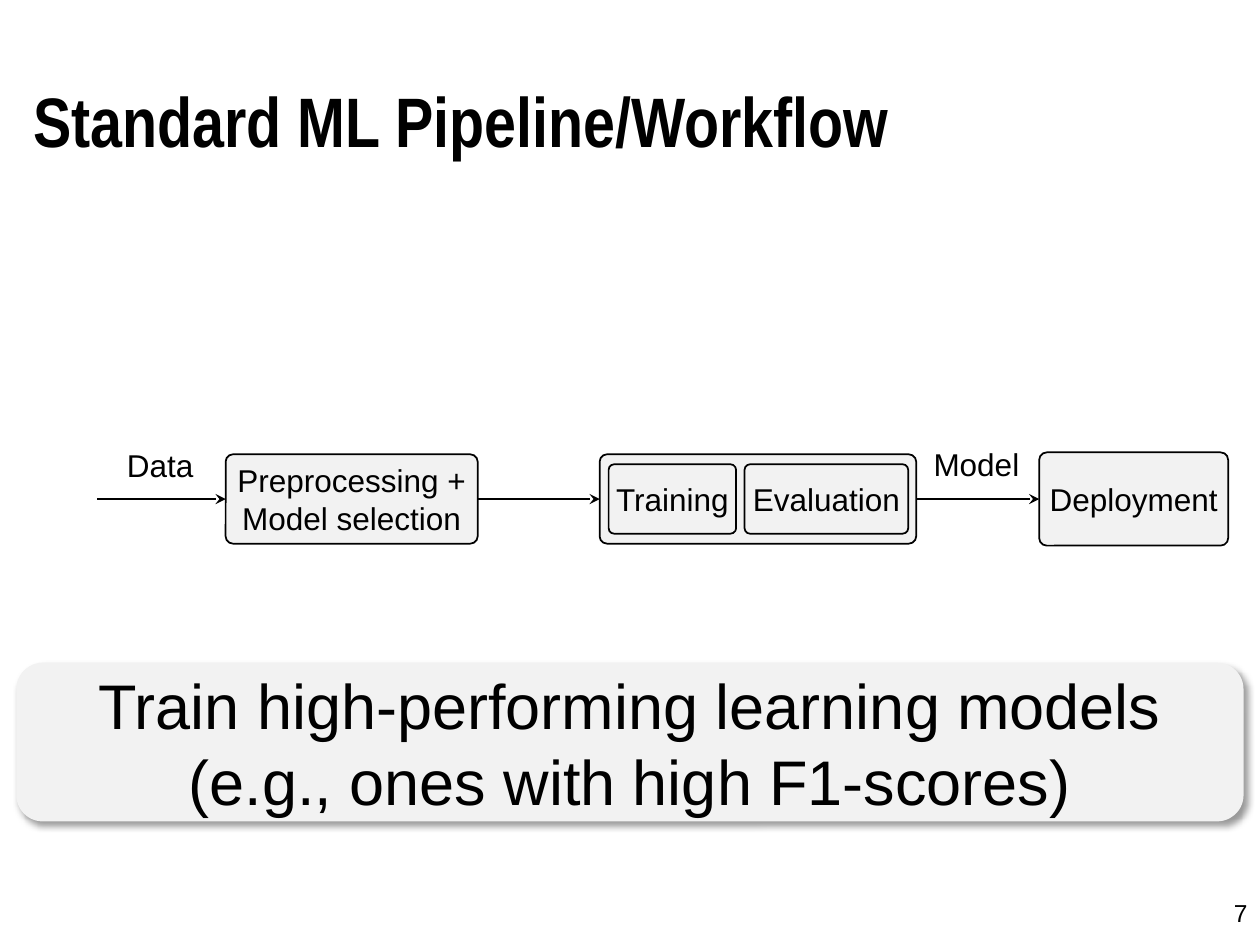
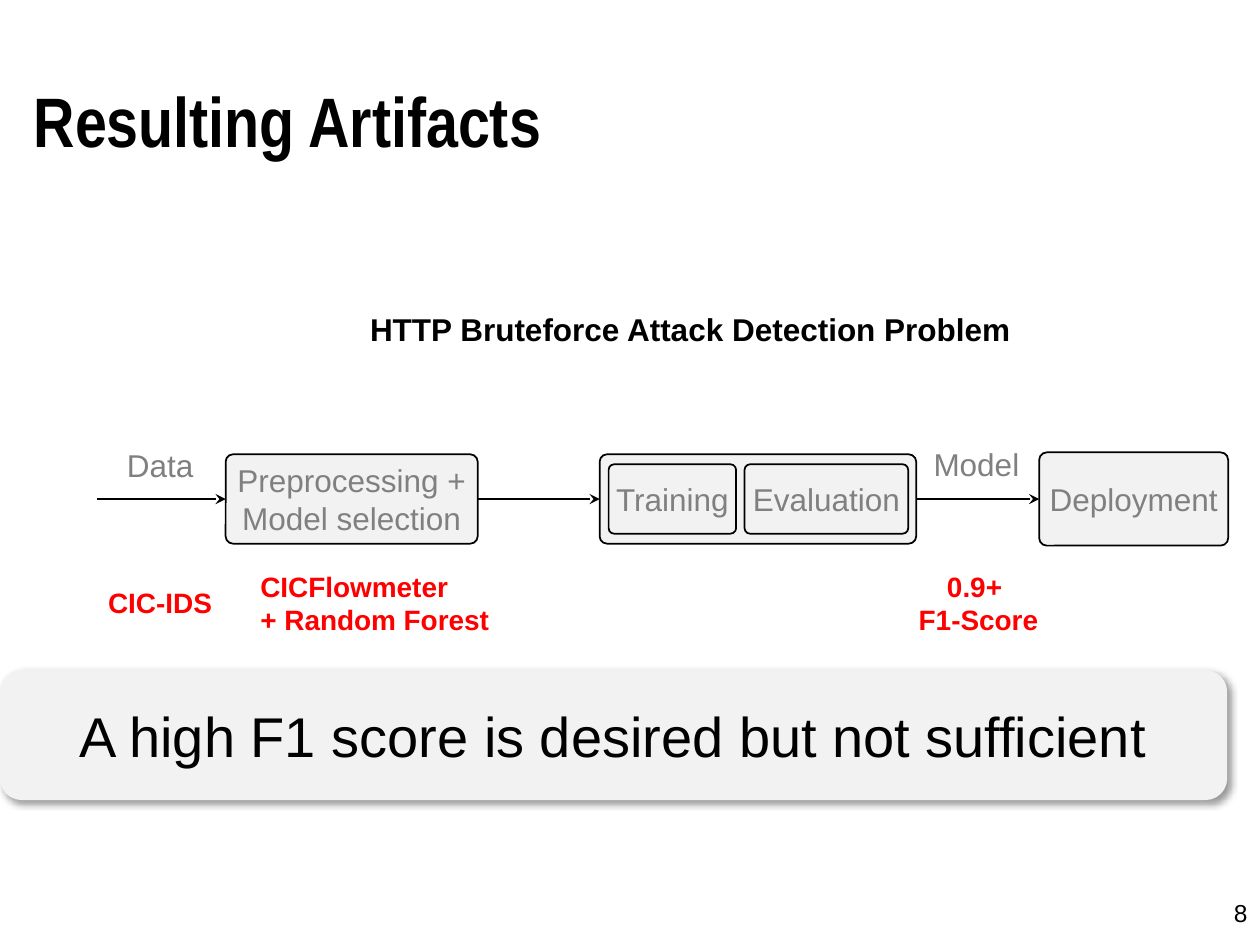
from lxml import etree
from pptx import Presentation
from pptx import util as u
from pptx.dml.color import RGBColor
from pptx.enum import shapes, text
from pptx.oxml.ns import qn

BLACK = RGBColor(0x00, 0x00, 0x00)
GREY = RGBColor(0x80, 0x80, 0x80)
RED = RGBColor(0xFF, 0x00, 0x00)
PALE = RGBColor(0xF2, 0xF2, 0xF2)
LEFT, CENTER, RIGHT = text.PP_ALIGN.LEFT, text.PP_ALIGN.CENTER, text.PP_ALIGN.RIGHT
AXIS = 10.06


class Deck:
    """Hold the shared style and the current slide; lengths are centimetres."""

    def __init__(self):
        self.prs = Presentation()
        self.prs.slide_width, self.prs.slide_height = u.Cm(25.4), u.Cm(19.05)
        self.s = None

    def slide(self, title, number):
        self.s = self.prs.slides.add_slide(self.prs.slide_layouts[6])
        self.label([str(number)], 19.48, 17.98, 5.92, 0.64, size=14, align=RIGHT)
        tf = self.label([title], 0.43, 0.81, 24.33, 3.18, size=40, bold=True,
                        font="Arial Narrow")
        tf.vertical_anchor = text.MSO_ANCHOR.MIDDLE

    def add_lines(self, tf, lines, size, color, bold=False, align=LEFT, font="Arial"):
        for i, line in enumerate(lines):
            p = tf.add_paragraph() if i else tf.paragraphs[0]
            p.alignment = align
            r = p.add_run()
            r.text = line
            r.font.name, r.font.size, r.font.bold = font, u.Pt(size), bold
            r.font.color.rgb = color

    def label(self, lines, x, y, w, h, size=18, color=BLACK, wrap=True, **style):
        tf = self.s.shapes.add_textbox(u.Cm(x), u.Cm(y), u.Cm(w), u.Cm(h)).text_frame
        tf.word_wrap = wrap
        self.add_lines(tf, lines, size, color, **style)
        return tf

    def rounded(self, x, y, w, h, lines, size, color):
        sp = self.s.shapes.add_shape(shapes.MSO_SHAPE.ROUNDED_RECTANGLE,
                                     u.Cm(x), u.Cm(y), u.Cm(w), u.Cm(h))
        sp.shadow.inherit = False
        sp.fill.solid()
        sp.fill.fore_color.rgb = PALE
        sp.line.fill.background()
        tf = sp.text_frame
        tf.word_wrap = True
        tf.vertical_anchor = text.MSO_ANCHOR.MIDDLE
        self.add_lines(tf, lines, size, color, align=CENTER)
        return sp

    def stage(self, x, w, h, lines=(), color=BLACK):
        sp = self.rounded(x, AXIS - h / 2, w, h, lines, 18, color)
        sp.adjustments[0] = 0.081
        sp.line.color.rgb = BLACK
        sp.line.width = u.Pt(1)
        sp.text_frame.margin_left = sp.text_frame.margin_right = 0
        return sp

    def arrow(self, x1, x2, start=None, end=None):
        cx = self.s.shapes.add_connector(shapes.MSO_CONNECTOR.STRAIGHT,
                                         u.Cm(x1), u.Cm(AXIS), u.Cm(x2), u.Cm(AXIS))
        if start is not None:
            cx.begin_connect(start, 3)
        if end is not None:
            cx.end_connect(end, 1)
        cx.line.color.rgb = BLACK
        cx.line.width = u.Pt(1.25)
        props = cx._element.spPr
        etree.SubElement(props.find(qn("a:ln")), qn("a:tailEnd"), type="stealth")
        etree.SubElement(props, qn("a:effectLst"))

    def banner(self, line, x, y, w, h, size):
        sp = self.rounded(x, y, w, h, [line], size, BLACK)
        effects = sp._element.spPr.find(qn("a:effectLst"))
        shadow = etree.SubElement(effects, qn("a:outerShdw"), blurRad=str(u.Pt(4)),
                                  dist=str(u.Pt(3)), dir="2700000", algn="tl",
                                  rotWithShape="0")
        tint = etree.SubElement(shadow, qn("a:srgbClr"), val=str(BLACK))
        etree.SubElement(tint, qn("a:alpha"), val="40000")

    def pipeline(self, color):
        learning = self.stage(12.09, 6.38, 1.8)
        self.stage(12.27, 2.57, 1.4, ["Training"], color)
        self.stage(15.01, 3.3, 1.4, ["Evaluation"], color)
        prep = self.stage(4.55, 5.08, 1.8, ["Preprocessing +", "Model selection"], color)
        deployment = self.stage(20.95, 3.81, 1.88, ["Deployment"], color)
        self.arrow(1.96, 4.55, end=prep)
        self.arrow(9.63, 12.09, prep, learning)
        self.arrow(18.47, 20.95, learning, deployment)
        self.label(["Data"], 2.31, 8.86, 1.85, 1.02, color=color)
        self.label(["Model"], 18.57, 8.84, 2.31, 1.02, color=color)

    def artifact(self, lines, x, y, w, h, align=LEFT):
        self.label(lines, x, y, w, h, size=16, color=RED, wrap=False, bold=True,
                   align=align)


def main():
    deck = Deck()

    deck.slide("Standard ML Pipeline/Workflow", 7)
    deck.banner("Train high-performing learning models (e.g., ones with high F1-scores)",
                0.33, 13.36, 24.74, 3.2, 36)
    deck.pipeline(BLACK)

    deck.slide("Resulting Artifacts", 8)
    deck.pipeline(GREY)
    deck.label(["HTTP Bruteforce Attack Detection Problem"], 7.21, 6.12, 13.54, 1.02,
               wrap=False, bold=True)
    deck.artifact(["CIC-IDS"], 1.93, 11.68, 2.72, 0.94)
    deck.artifact(["CICFlowmeter", "+ Random Forest"], 5, 11.35, 5.18, 1.63)
    deck.artifact(["0.9+ ", "F1-Score"], 18.24, 11.35, 2.97, 1.63, CENTER)
    deck.banner("A high F1 score is desired but not sufficient", 0, 13.51, 24.74, 2.62, 32)

    deck.prs.save("out.pptx")


if __name__ == "__main__":
    main()
